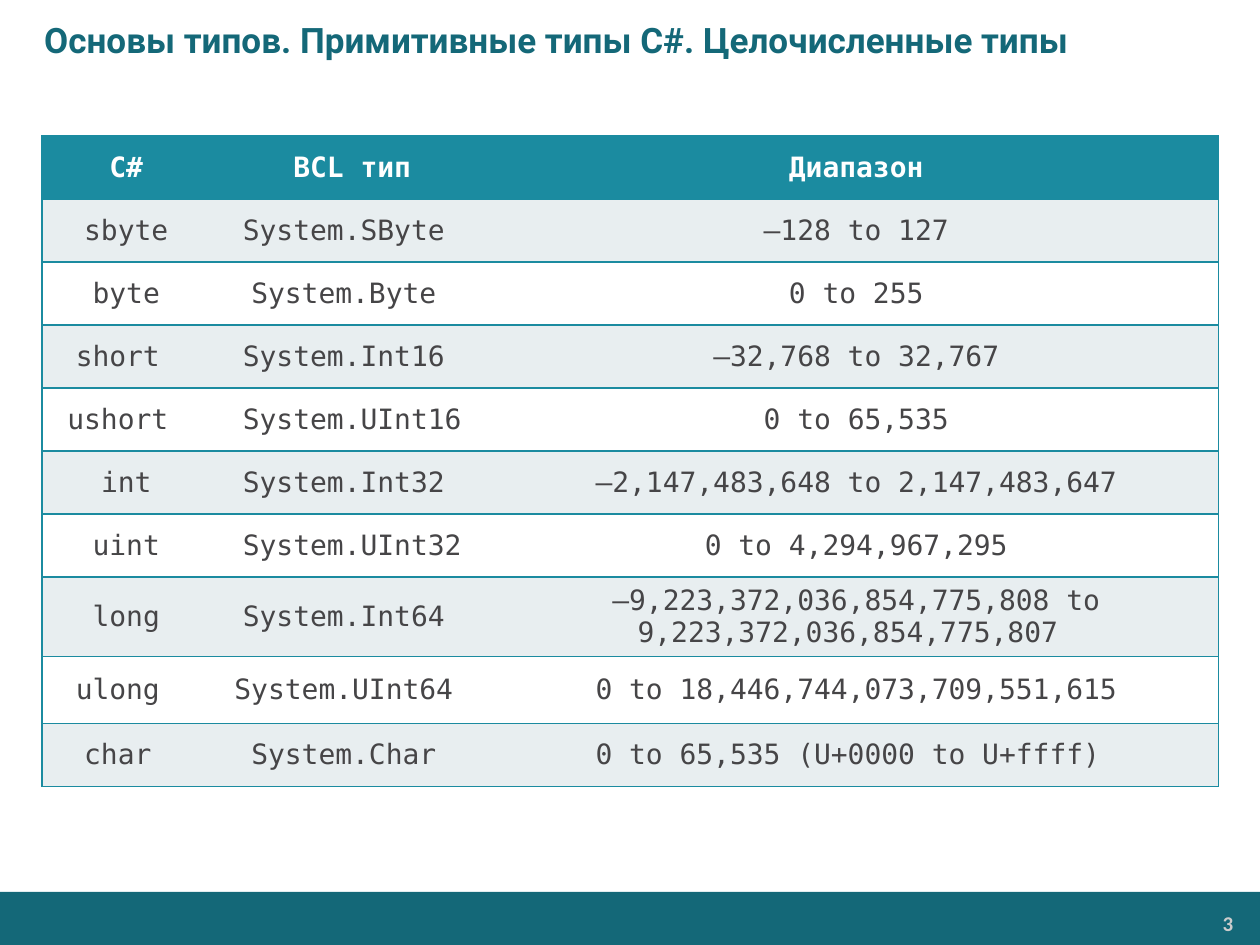
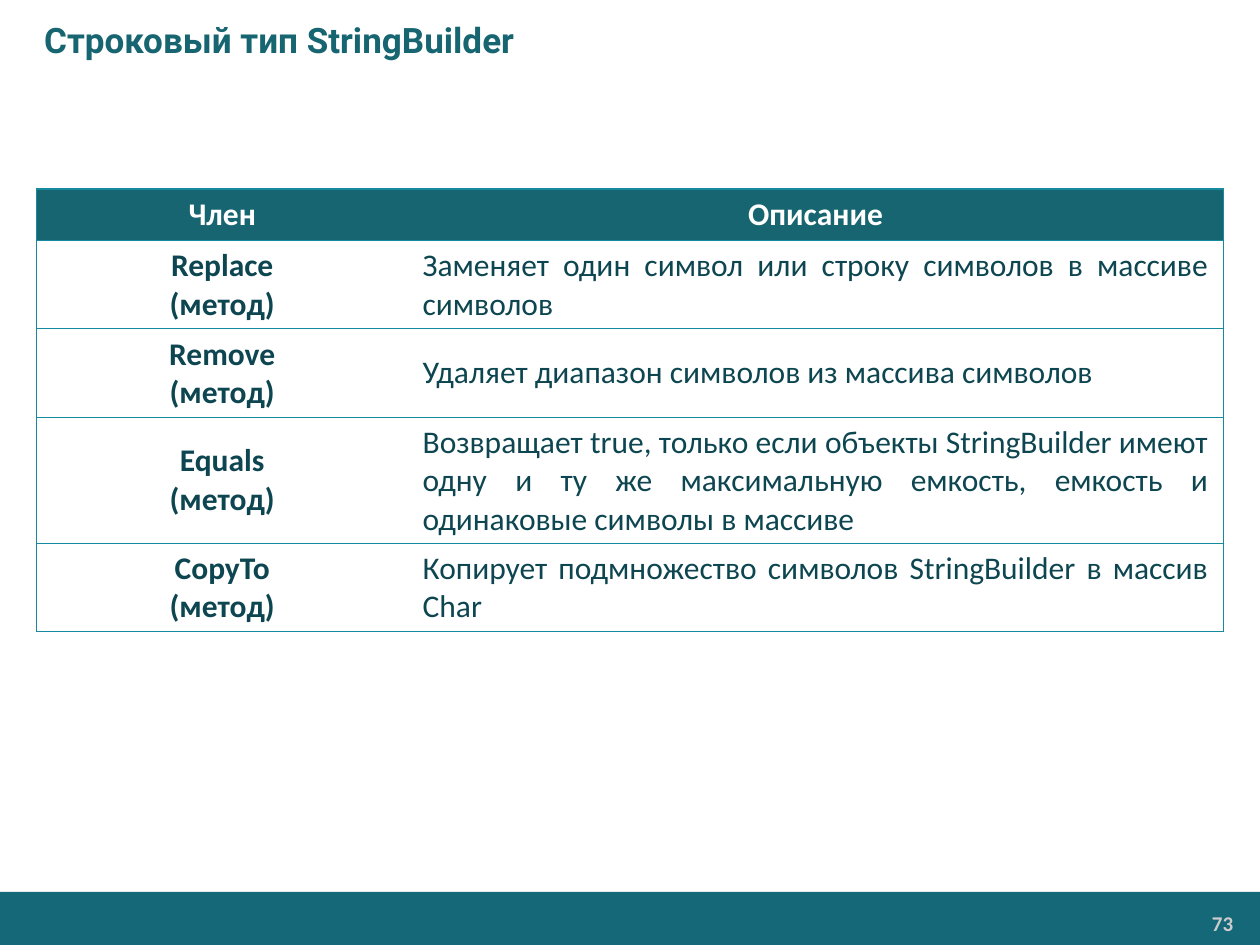
from dataclasses import dataclass

from lxml.etree import SubElement
from pptx import Presentation
from pptx.dml.color import RGBColor
from pptx.enum.shapes import MSO_SHAPE
from pptx.enum.text import MSO_ANCHOR, MSO_AUTO_SIZE, PP_ALIGN
from pptx.oxml.ns import qn
from pptx.presentation import Presentation as PresentationType
from pptx.slide import Slide
from pptx.table import _Cell
from pptx.text.text import _Paragraph
from pptx.util import Cm, Length, Pt

WHITE = RGBColor(0xFF, 0xFF, 0xFF)
BAND_TEAL = RGBColor(0x14, 0x68, 0x78)
DARK_TEAL = RGBColor(0x17, 0x65, 0x71)
HEADER_TEAL = RGBColor(0x1B, 0x8B, 0xA0)
LINE_TEAL = RGBColor(0x17, 0x8A, 0xA0)
TEXT_TEAL = RGBColor(0x0D, 0x46, 0x50)
TEXT_GRAY = RGBColor(0x46, 0x45, 0x47)
ROW_GRAY = RGBColor(0xE8, 0xEE, 0xF0)
NUMBER_GRAY = RGBColor(0xCC, 0xCC, 0xCC)

SLIDE_WIDTH, SLIDE_HEIGHT = Cm(25.4), Cm(19.05)
BAND_TOP = Cm(17.98)


@dataclass(frozen=True)
class TextStyle:
    font: str
    size: float
    color: RGBColor
    bold: bool = False
    alignment: PP_ALIGN = PP_ALIGN.CENTER


@dataclass(frozen=True)
class Column:
    heading: str
    width: Length
    style: TextStyle


@dataclass(frozen=True)
class TableDesign:
    left: Length
    top: Length
    row_height: Length
    side_margin: Length
    columns: tuple[Column, ...]
    header_style: TextStyle
    header_fill: RGBColor
    row_fills: tuple[RGBColor | None, ...]
    line_color: RGBColor
    line_width: float


@dataclass(frozen=True)
class TableSlide:
    title: str
    title_color: RGBColor
    number: int
    design: TableDesign
    rows: tuple[tuple[str, ...], ...]


MONO_HEADER = TextStyle("DejaVu Sans Mono", 16, WHITE, bold=True)
MONO_BODY = TextStyle("DejaVu Sans Mono", 16, TEXT_GRAY)
CALIBRI_HEADER = TextStyle("Calibri", 18, WHITE, bold=True)
MEMBER_NAME = TextStyle("Calibri", 18, TEXT_TEAL, bold=True)
MEMBER_TEXT = TextStyle("Calibri", 18, TEXT_TEAL, alignment=PP_ALIGN.JUSTIFY)
PAGE_NUMBER = TextStyle("Calibri", 12, NUMBER_GRAY, bold=True, alignment=PP_ALIGN.RIGHT)

INTEGER_TYPES = TableSlide(
    title="Основы типов. Примитивные типы C#. Целочисленные типы",
    title_color=BAND_TEAL,
    number=3,
    design=TableDesign(
        left=Cm(0.85), top=Cm(2.74), row_height=Cm(1.27), side_margin=Cm(0.25),
        columns=(
            Column("C#", Cm(3.39), MONO_BODY),
            Column("BCL тип", Cm(5.72), MONO_BODY),
            Column("Диапазон", Cm(14.6), MONO_BODY),
        ),
        header_style=MONO_HEADER, header_fill=HEADER_TEAL,
        row_fills=(ROW_GRAY, WHITE),
        line_color=HEADER_TEAL, line_width=1,
    ),
    rows=(
        ("sbyte", "System.SByte ", "–128 to 127"),
        ("byte", "System.Byte ", "0 to 255"),
        ("short ", "System.Int16 ", "–32,768 to 32,767"),
        ("ushort ", "System.UInt16", "0 to 65,535"),
        ("int", "System.Int32 ", "–2,147,483,648 to 2,147,483,647"),
        ("uint", "System.UInt32", "0 to 4,294,967,295"),
        ("long", "System.Int64 ",
         "–9,223,372,036,854,775,808 to 9,223,372,036,854,775,807 "),
        ("ulong ", "System.UInt64 ", "0 to 18,446,744,073,709,551,615"),
        ("char ", "System.Char ", "0 to 65,535 (U+0000 to U+ffff) "),
    ),
)
ULONG_ROW, ULONG_HEIGHT = 8, Cm(1.35)

STRING_BUILDER = TableSlide(
    title="Строковый тип StringBuilder",
    title_color=DARK_TEAL,
    number=73,
    design=TableDesign(
        left=Cm(0.74), top=Cm(3.81), row_height=Cm(1.04), side_margin=Cm(0.3),
        columns=(
            Column("Член", Cm(7.48), MEMBER_NAME),
            Column("Описание", Cm(16.44), MEMBER_TEXT),
        ),
        header_style=CALIBRI_HEADER, header_fill=DARK_TEAL,
        row_fills=(None,),
        line_color=LINE_TEAL, line_width=0.75,
    ),
    rows=(
        ("Replace\n(метод)", "Заменяет один символ или строку символов в массиве символов"),
        ("Remove\n(метод)", "Удаляет диапазон символов из массива символов"),
        ("Equals\n(метод)",
         "Возвращает true, только если объекты StringBuilder имеют одну и ту же "
         "максимальную емкость, емкость и одинаковые символы в массиве"),
        ("СоруТо\n(метод)", "Копирует подмножество символов StringBuilder в массив Char"),
    ),
)


def format_paragraph(paragraph: _Paragraph, style: TextStyle) -> None:
    paragraph.alignment = style.alignment
    paragraph.font.name = style.font
    paragraph.font.size = Pt(style.size)
    paragraph.font.bold = style.bold
    paragraph.font.color.rgb = style.color


def add_title(slide: Slide, text: str, color: RGBColor) -> None:
    title = slide.shapes.title
    title.left, title.top, title.width, title.height = Cm(0), Cm(0), SLIDE_WIDTH, Cm(1.6)
    frame = title.text_frame
    frame.text = text
    frame.auto_size = MSO_AUTO_SIZE.NONE
    frame.vertical_anchor = MSO_ANCHOR.MIDDLE
    frame.margin_left = Cm(0.89)
    style = TextStyle("Roboto", 20, color, bold=True, alignment=PP_ALIGN.LEFT)
    format_paragraph(frame.paragraphs[0], style)


def add_footer(slide: Slide, number: int) -> None:
    band = slide.shapes.add_shape(
        MSO_SHAPE.RECTANGLE, Cm(0), BAND_TOP, SLIDE_WIDTH, SLIDE_HEIGHT - BAND_TOP)
    band.shadow.inherit = False
    band.fill.solid()
    band.fill.fore_color.rgb = BAND_TEAL
    band.line.fill.background()

    box = slide.shapes.add_textbox(Cm(20.9), Cm(18.26), Cm(4.14), Cm(0.71))
    frame = box.text_frame
    frame.word_wrap = True
    frame.margin_left = frame.margin_right = Cm(0.18)
    frame.margin_top = frame.margin_bottom = Cm(0.1)
    frame.text = str(number)
    format_paragraph(frame.paragraphs[0], PAGE_NUMBER)


def set_borders(cell: _Cell, design: TableDesign, is_first: bool, is_last: bool) -> None:
    """Rule every row and the outer sides; leave inner verticals empty."""
    visible = {"lnL": is_first, "lnR": is_last, "lnT": True, "lnB": True}
    properties = cell._tc.get_or_add_tcPr()
    for side, shown in visible.items():
        line = SubElement(properties, qn(f"a:{side}"), w=str(Pt(design.line_width)))
        if shown:
            fill = SubElement(line, qn("a:solidFill"))
            SubElement(fill, qn("a:srgbClr"), val=str(design.line_color))
        else:
            SubElement(line, qn("a:noFill"))


def fill_cell(cell: _Cell, text: str, style: TextStyle, fill: RGBColor | None,
              side_margin: Length) -> None:
    cell.text = text
    cell.vertical_anchor = MSO_ANCHOR.MIDDLE
    cell.margin_left = cell.margin_right = side_margin
    for paragraph in cell.text_frame.paragraphs:
        format_paragraph(paragraph, style)
    if fill is None:
        cell.fill.background()
    else:
        cell.fill.solid()
        cell.fill.fore_color.rgb = fill


def add_styled_table(slide: Slide, design: TableDesign, rows: tuple[tuple[str, ...], ...]):
    columns = design.columns
    lines = (tuple(column.heading for column in columns), *rows)
    table = slide.shapes.add_table(
        len(lines), len(columns), design.left, design.top,
        sum(column.width for column in columns), design.row_height * len(lines)).table
    for table_column, column in zip(table.columns, columns):
        table_column.width = column.width
    for row_index, texts in enumerate(lines):
        table.rows[row_index].height = design.row_height
        is_header = row_index == 0
        body_fill = design.row_fills[(row_index - 1) % len(design.row_fills)]
        for column_index, (column, text) in enumerate(zip(columns, texts)):
            cell = table.cell(row_index, column_index)
            set_borders(cell, design, column_index == 0, column_index == len(columns) - 1)
            fill_cell(cell, text,
                      design.header_style if is_header else column.style,
                      design.header_fill if is_header else body_fill,
                      design.side_margin)
    return table


def add_table_slide(presentation: PresentationType, content: TableSlide):
    slide = presentation.slides.add_slide(presentation.slide_layouts.get_by_name("Title Only"))
    add_footer(slide, content.number)
    add_title(slide, content.title, content.title_color)
    return add_styled_table(slide, content.design, content.rows)


def main() -> None:
    presentation = Presentation()
    presentation.slide_width, presentation.slide_height = SLIDE_WIDTH, SLIDE_HEIGHT
    integer_table = add_table_slide(presentation, INTEGER_TYPES)
    integer_table.rows[ULONG_ROW].height = ULONG_HEIGHT
    add_table_slide(presentation, STRING_BUILDER)
    presentation.save("out.pptx")


if __name__ == "__main__":
    main()
